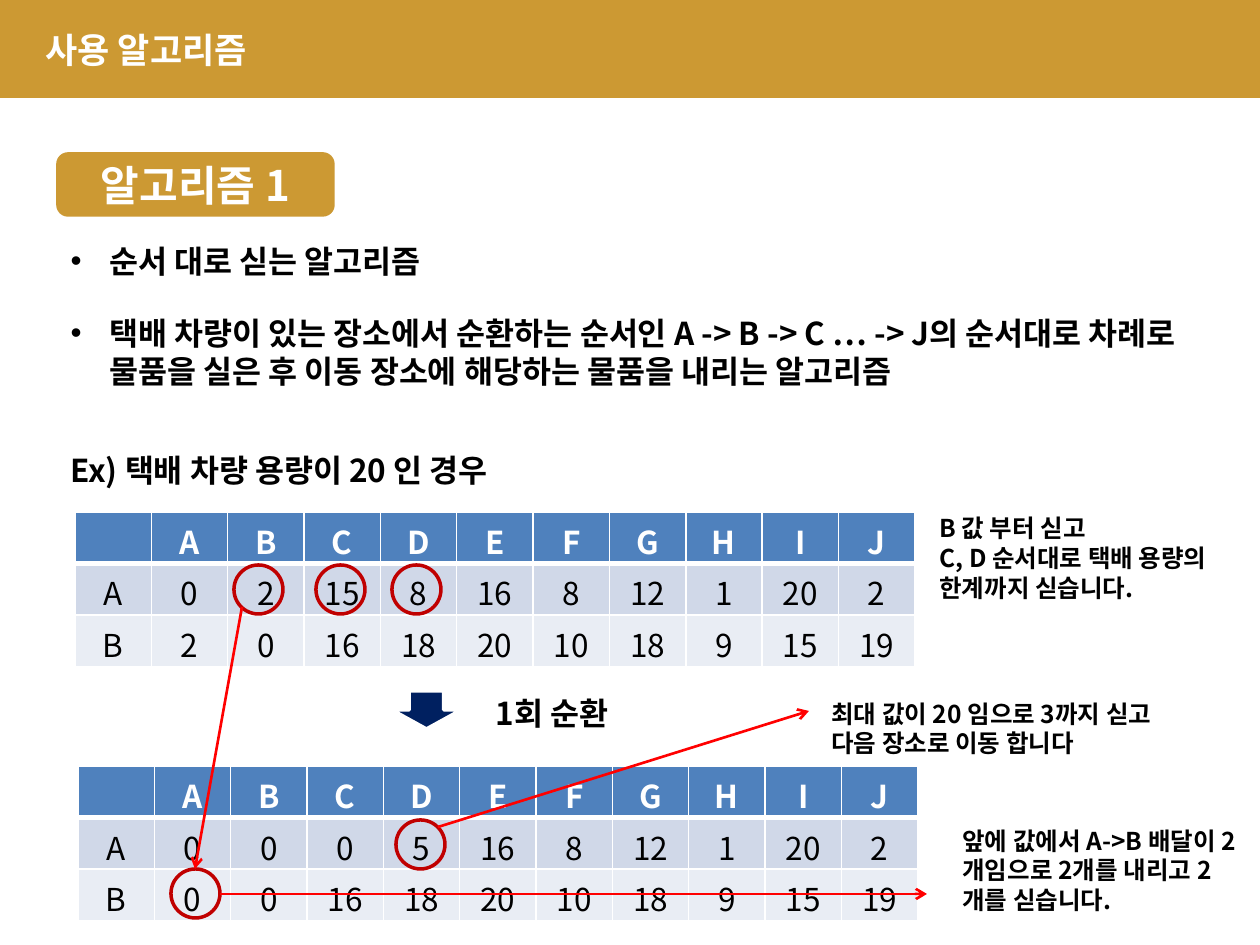
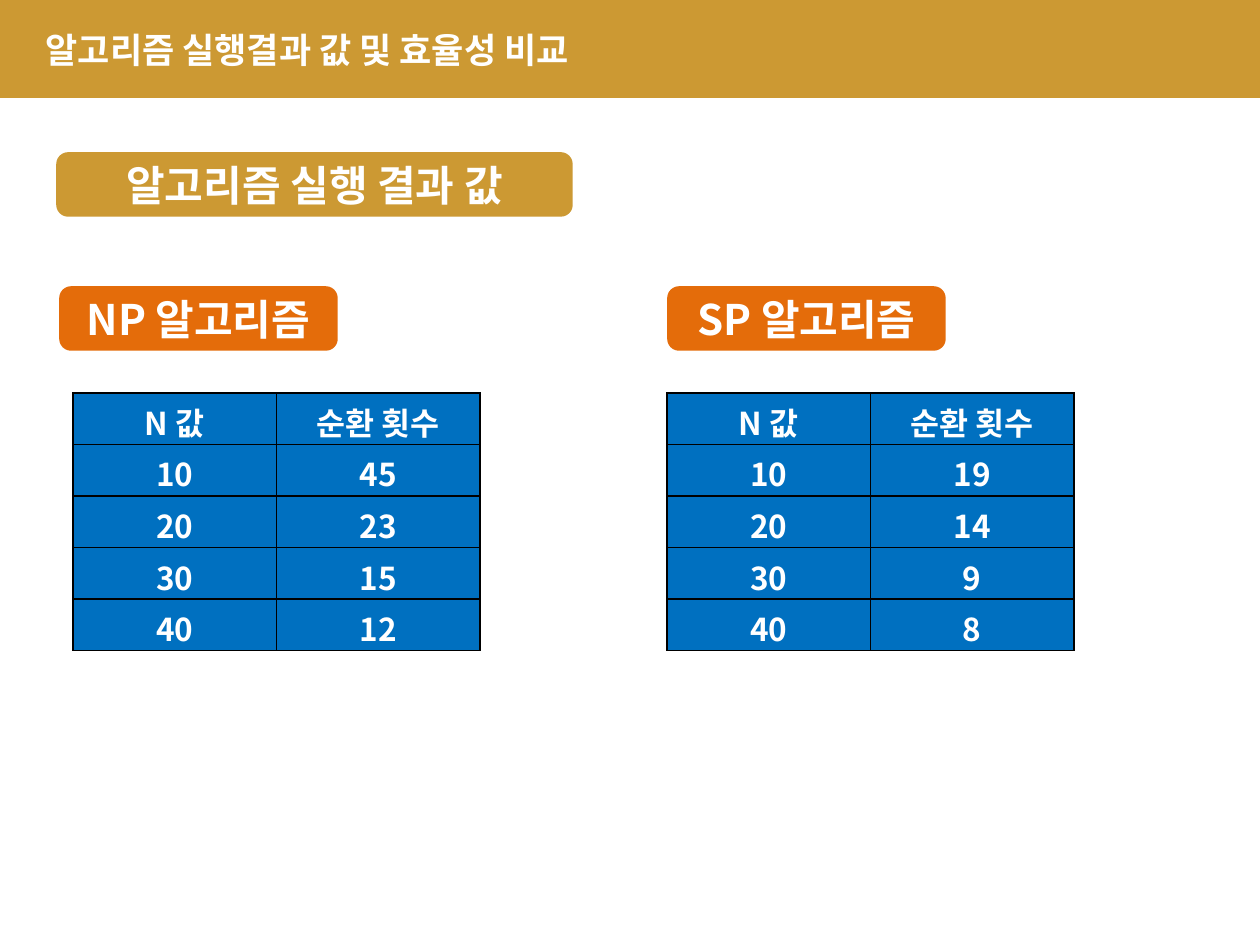
from lxml import etree
from pptx import Presentation
from pptx import util as u
from pptx.dml.color import RGBColor
from pptx.enum import shapes, text
from pptx.oxml import ns

PX = 914400 / 126
FONT = "Noto Sans CJK KR"
HUE = {
    "gold": "CC9933", "orange": "E46C0A", "white": "FFFFFF", "black": "000000",
    "navy": "002060", "ring": "C00000", "red": "FF0000", "head": "4F81BD",
    "odd": "D0D8E8", "even": "E9EDF4", "blue": "0070C0",
}
KIND = shapes.MSO_SHAPE


def px(*nums):
    return [u.Emu(round(n * PX)) for n in nums]


def write(frame, words, size=18, hue="black", bold=True, align="LEFT",
          anchor="TOP", tight=True, bullet=False, gap=0):
    frame.word_wrap = True
    frame.auto_size = text.MSO_AUTO_SIZE.NONE
    frame.vertical_anchor = text.MSO_ANCHOR[anchor]
    frame.text = words
    for i, para in enumerate(frame.paragraphs):
        para.alignment = text.PP_ALIGN[align]
        para.space_before = u.Pt(gap if i else 0)
        if tight:
            para.line_spacing = u.Pt(round(size * 1.2))
        if bullet:
            props = para._p.get_or_add_pPr()
            inset = px(39)[0]
            props.set("marL", str(inset))
            props.set("indent", str(-inset))
            etree.SubElement(props, ns.qn("a:buChar"), char="•")
        for run in para.runs:
            font = run.font
            font.size, font.bold, font.name = u.Pt(size), bold, FONT
            font.color.rgb = RGBColor.from_string(HUE[hue])
            etree.SubElement(run._r.get_or_add_rPr(), ns.qn("a:ea"), typeface=FONT)


deck = Presentation()
deck.slide_width, deck.slide_height = px(1260, 945)

pages = []
for layout, title in [(1, "사용 알고리즘"), (5, "알고리즘 실행결과 값 및 효율성 비교")]:
    page = deck.slides.add_slide(deck.slide_layouts[layout])
    band = page.shapes.add_shape(KIND.RECTANGLE, *px(0, 0, 1260, 96))
    band.shadow.inherit = False
    band.fill.solid()
    band.fill.fore_color.rgb = RGBColor.from_string(HUE["gold"])
    band.line.color.rgb = RGBColor.from_string(HUE["gold"])
    band.line.width = u.Pt(2)
    page.shapes._spTree.insert(2, band._element)
    head = page.shapes.title
    head.left, head.top, head.width, head.height = px(33, 22, 900, 55)
    write(head.text_frame, title, size=20, hue="white")
    pages.append(page)
steps, scores = pages

body = steps.placeholders[1]
body.left, body.top, body.width, body.height = px(58, 235, 1136, 165)
write(body.text_frame,
      "순서 대로 싣는 알고리즘\n"
      "택배 차량이 있는 장소에서 순환하는 순서인 A -> B -> C … -> J의 순서대로 "
      "차례로 물품을 실은 후 이동 장소에 해당하는 물품을 내리는 알고리즘",
      bullet=True, gap=19)

names = ["", *"ABCDEFGHIJ"]
last = ["B", 0, 16, 18, 20, 10, 18, 9, 15, 19]
rest = [16, 8, 12, 1, 20, 2]
before = [names, ["A", 0, 2, 15, 8, *rest], ["B", 2, *last[1:]]]
after = [names, ["A", 0, 0, 0, 5, *rest], ["B", 0, *last[1:]]]
labels = ["N 값", "순환 횟수"]
sizes = [10, 20, 30, 40]
np_rows = [labels, *zip(sizes, [45, 23, 15, 12])]
sp_rows = [labels, *zip(sizes, [19, 14, 9, 8])]
load = ["head", "odd", "even"]
flat = ["blue"] * 5

for page, x, y, wide, rows, fills, edge in [
    (steps, 75, 512, 840, before, load, "white"),
    (steps, 78, 766, 840, after, load, "white"),
    (scores, 73, 393, 407, np_rows, flat, "black"),
    (scores, 667, 393, 407, sp_rows, flat, "black"),
]:
    grid = page.shapes.add_table(
        len(rows), len(rows[0]), *px(x, y, wide, 51 * len(rows))).table
    for r, row in enumerate(rows):
        grid.rows[r].height = px(51)[0]
        light = fills[r] in ("head", "blue")
        for c, value in enumerate(row):
            cell = grid.cell(r, c)
            cell.margin_left, cell.margin_right = px(6, 6)
            cell.margin_top, cell.margin_bottom = px(13, 0)
            write(cell.text_frame, str(value), align="CENTER", bold=light,
                  hue="white" if light else "black")
            cell.fill.solid()
            cell.fill.fore_color.rgb = RGBColor.from_string(HUE[fills[r]])
            for i, side in enumerate("LRTB"):
                thick = edge == "white" and (r, side) in [(0, "B"), (1, "T")]
                line = etree.Element(ns.qn("a:ln" + side), w=str(u.Pt(3 if thick else 1)))
                paint = etree.SubElement(line, ns.qn("a:solidFill"))
                etree.SubElement(paint, ns.qn("a:srgbClr"), val=HUE[edge])
                cell._tc.get_or_add_tcPr().insert(i, line)

rings = [(steps, KIND.OVAL, x, y, 49, 49, None, "ring", "")
         for x, y in [(234, 565), (316, 565), (392, 565), (396, 820), (171, 869)]]
badges = [(page, KIND.ROUNDED_RECTANGLE, x, y, w, 61, hue, hue, words)
          for page, x, y, w, hue, words in [
              (steps, 58, 154, 275, "gold", "알고리즘 1"),
              (scores, 58, 154, 513, "gold", "알고리즘 실행 결과 값"),
              (scores, 61, 288, 275, "orange", "NP 알고리즘"),
              (scores, 669, 288, 275, "orange", "SP 알고리즘")]]
turn = (steps, KIND.DOWN_ARROW, 392, 691, 69, 38, "navy", "white", "")
for page, kind, x, y, w, h, fill, edge, words in [*badges, turn, *rings]:
    shape = page.shapes.add_shape(kind, *px(x, y, w, h))
    shape.shadow.inherit = False
    if fill:
        shape.fill.solid()
        shape.fill.fore_color.rgb = RGBColor.from_string(HUE[fill])
    else:
        shape.fill.background()
    shape.line.color.rgb = RGBColor.from_string(HUE[edge])
    shape.line.width = u.Pt(2)
    if words:
        write(shape.text_frame, words, size=24, hue="white", align="CENTER",
              anchor="MIDDLE", tight=False)

for x, y, w, h, size, words in [
    (58, 444, 532, 50, 18, "Ex) 택배 차량 용량이 20 인 경우"),
    (483, 687, 159, 50, 18, "1회 순환"),
    (927, 507, 297, 102, 14, "B 값 부터 싣고\nC, D 순서대로 택배 용량의 한계까지 싣습니다."),
    (819, 692, 367, 72, 14, "최대 값이 20 임으로 3까지 싣고 다음 장소로 이동 합니다"),
    (950, 819, 312, 102, 14, "앞에 값에서 A->B 배달이 2개임으로 2개를 내리고 2개를 싣습니다."),
]:
    box = steps.shapes.add_textbox(*px(x, y, w, h))
    write(box.text_frame, words, size=size)

for ends in [(438, 827, 809, 711), (220, 894, 927, 894), (242, 607, 195, 869)]:
    arrow = steps.shapes.add_connector(shapes.MSO_CONNECTOR.STRAIGHT, *px(*ends))
    arrow.line.color.rgb = RGBColor.from_string(HUE["red"])
    arrow.line.width = u.Pt(1.5)
    etree.SubElement(arrow.line._get_or_add_ln(), ns.qn("a:tailEnd"), type="arrow")
    etree.SubElement(arrow._element.spPr, ns.qn("a:effectLst"))

deck.save("out.pptx")
